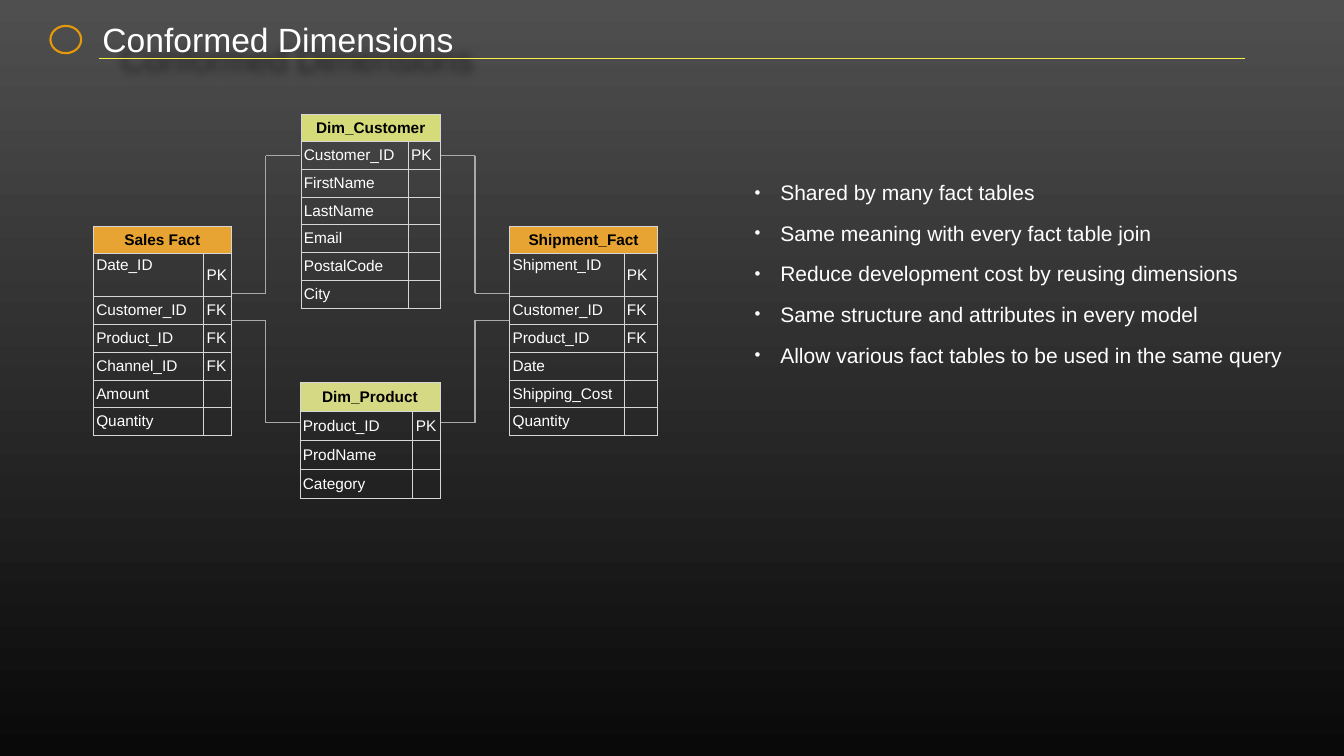
from dataclasses import dataclass

from lxml import etree
from pptx import Presentation
from pptx.dml.color import RGBColor
from pptx.enum.shapes import MSO_CONNECTOR, MSO_SHAPE
from pptx.enum.text import MSO_ANCHOR, MSO_AUTO_SIZE, PP_ALIGN
from pptx.oxml.ns import qn
from pptx.util import Pt

STRAIGHT = MSO_CONNECTOR.STRAIGHT
OVAL = MSO_SHAPE.OVAL
TOP, MIDDLE = MSO_ANCHOR.TOP, MSO_ANCHOR.MIDDLE
LEFT, CENTER = PP_ALIGN.LEFT, PP_ALIGN.CENTER
NO_AUTOSIZE = MSO_AUTO_SIZE.NONE

FONT = "Arial"
WHITE = RGBColor(0xFF, 0xFF, 0xFF)
BLACK = RGBColor(0x00, 0x00, 0x00)
BACKGROUND_TOP = RGBColor(0x4F, 0x4F, 0x4F)
BACKGROUND_BOTTOM = RGBColor(0x09, 0x09, 0x09)
YELLOW = RGBColor(0xF8, 0xEF, 0x4A)
EMBLEM = RGBColor(0xE6, 0x9A, 0x0A)
FACT = RGBColor(0xE8, 0xA4, 0x32)
CUSTOMER = RGBColor(0xD6, 0xDB, 0x79)
PRODUCT = RGBColor(0xD6, 0xD9, 0x84)
BORDER = RGBColor(0xD6, 0xD6, 0xD6)
LINK = RGBColor(0xA6, 0xAA, 0xA8)

ROW_HEIGHT = 39.6
KEY_ROW_HEIGHT = 61.6
CELL_MARGIN = Pt(4.32)
BOX_MARGIN = Pt(6)


@dataclass(frozen=True)
class Entity:
    name: str
    color: RGBColor
    left: float
    top: float
    widths: tuple[float, float]
    fields: tuple[tuple[str, str], ...]
    row_height: float = ROW_HEIGHT
    tall_key: bool = False


@dataclass(frozen=True)
class Link:
    start: tuple[float, float]
    bend: float
    end: tuple[float, float]


ENTITIES = (
    Entity("Sales Fact", FACT, 133.2, 322.6, (157.7, 39.6), (
        ("Date_ID", "PK"), ("Customer_ID", "FK"), ("Product_ID", "FK"),
        ("Channel_ID", "FK"), ("Amount", ""), ("Quantity", "")), tall_key=True),
    Entity("Dim_Customer", CUSTOMER, 429.8, 162.7, (153.4, 46.1), (
        ("Customer_ID", "PK"), ("FirstName", ""), ("LastName", ""),
        ("Email", ""), ("PostalCode", ""), ("City", ""))),
    Entity("Dim_Product", PRODUCT, 428.4, 546.5, (161.3, 38.9), (
        ("Product_ID", "PK"), ("ProdName", ""), ("Category", "")), row_height=41.4),
    Entity("Shipment_Fact", FACT, 727.9, 322.6, (163.4, 48.2), (
        ("Shipment_ID", "PK"), ("Customer_ID", "FK"), ("Product_ID", "FK"),
        ("Date", ""), ("Shipping_Cost", ""), ("Quantity", "")), tall_key=True),
)

LINKS = (
    Link((331, 419), 379.5, (428, 222.5)),
    Link((331, 458), 379.5, (428, 604)),
    Link((630, 222.5), 678.5, (726.5, 419)),
    Link((630, 604), 678.5, (726.5, 457.5)),
)

BENEFITS = (
    "Shared by many fact tables",
    "Same meaning with every fact table join",
    "Reduce development cost by reusing dimensions",
    "Same structure and attributes in every model",
    "Allow various fact tables to be used in the same query",
)


def add_run(paragraph, text: str, size: float, color: RGBColor, bold: bool = False) -> None:
    run = paragraph.add_run()
    run.text = text
    run.font.name = FONT
    run.font.size = Pt(size)
    run.font.bold = bold
    run.font.color.rgb = color


def set_margins(frame, margin: int) -> None:
    frame.margin_left = frame.margin_right = margin
    frame.margin_top = frame.margin_bottom = margin


def add_child(parent, tag: str, **attributes: str):
    return etree.SubElement(parent, qn(tag), attributes)


def draw_line(slide, start: tuple[float, float], end: tuple[float, float],
              color: RGBColor, width: float) -> None:
    connector = slide.shapes.add_connector(
        STRAIGHT, Pt(start[0]), Pt(start[1]), Pt(end[0]), Pt(end[1]))
    connector.line.color.rgb = color
    connector.line.width = Pt(width)
    add_child(connector._element.spPr, "a:effectLst")


def draw_link(slide, link: Link) -> None:
    points = (link.start, (link.bend, link.start[1]), (link.bend, link.end[1]), link.end)
    for start, end in zip(points, points[1:]):
        draw_line(slide, start, end, LINK, 2)


def style_cell(cell, fill: RGBColor | None) -> None:
    properties = cell._tc.get_or_add_tcPr()
    for side in ("a:lnL", "a:lnR", "a:lnT", "a:lnB"):
        border = add_child(properties, side, w=str(Pt(1)))
        solid = add_child(border, "a:solidFill")
        add_child(solid, "a:srgbClr", val=str(BORDER))
    if fill is None:
        cell.fill.background()
    else:
        cell.fill.solid()
        cell.fill.fore_color.rgb = fill
    set_margins(cell, CELL_MARGIN)
    cell.vertical_anchor = MIDDLE


def draw_entity(slide, entity: Entity) -> None:
    heights = [entity.row_height] * (len(entity.fields) + 1)
    if entity.tall_key:
        heights[1] = KEY_ROW_HEIGHT
    table = slide.shapes.add_table(
        len(heights), 2, Pt(entity.left), Pt(entity.top),
        Pt(sum(entity.widths)), Pt(sum(heights))).table
    table.first_row = table.horz_banding = False
    for column, width in zip(table.columns, entity.widths):
        column.width = Pt(width)
    for row, height in zip(table.rows, heights):
        row.height = Pt(height)

    header = table.cell(0, 0)
    header.merge(table.cell(0, 1))
    for cell in table.rows[0].cells:
        style_cell(cell, entity.color)
    paragraph = header.text_frame.paragraphs[0]
    paragraph.alignment = CENTER
    add_run(paragraph, entity.name, 22, BLACK, bold=True)

    for row_index, field in enumerate(entity.fields, start=1):
        for column_index, text in enumerate(field):
            cell = table.cell(row_index, column_index)
            style_cell(cell, None)
            if text:
                add_run(cell.text_frame.paragraphs[0], text, 22, WHITE)
    if entity.tall_key:
        table.cell(1, 0).vertical_anchor = TOP


def draw_title(slide) -> None:
    title = slide.shapes.title
    title.left, title.top, title.width, title.height = Pt(140.4), Pt(28), Pt(761), Pt(55.4)
    frame = title.text_frame
    frame.auto_size = NO_AUTOSIZE
    frame.word_wrap = True
    frame.vertical_anchor = MIDDLE
    set_margins(frame, BOX_MARGIN)
    paragraph = frame.paragraphs[0]
    paragraph.alignment = LEFT
    add_run(paragraph, "Conformed Dimensions", 48, WHITE)
    effects = add_child(title._element.spPr, "a:effectLst")
    shadow = add_child(effects, "a:outerShdw", blurRad=str(Pt(12)), dist=str(Pt(38)),
                       dir="2700000", algn="tl", rotWithShape="0")
    color = add_child(shadow, "a:srgbClr", val=str(BLACK))
    add_child(color, "a:alpha", val="50000")


def draw_benefits(slide) -> None:
    box = slide.shapes.add_textbox(Pt(1072), Pt(250.6), Pt(793.4), Pt(329.8))
    frame = box.text_frame
    frame.word_wrap = True
    set_margins(frame, BOX_MARGIN)
    for index, text in enumerate(BENEFITS):
        paragraph = frame.add_paragraph() if index else frame.paragraphs[0]
        properties = paragraph._p.get_or_add_pPr()
        properties.set("marL", str(Pt(36.7)))
        properties.set("indent", str(-Pt(36.7)))
        bullet_color = add_child(properties, "a:buClr")
        add_child(bullet_color, "a:srgbClr", val=str(WHITE))
        add_child(properties, "a:buSzPct", val="80000")
        add_child(properties, "a:buFont", typeface=FONT)
        add_child(properties, "a:buChar", char="•")
        if index:
            paragraph.space_before = Pt(22)
        add_run(paragraph, text, 30, WHITE)


def main() -> None:
    presentation = Presentation()
    presentation.slide_width, presentation.slide_height = Pt(1920), Pt(1080)
    slide = presentation.slides.add_slide(presentation.slide_layouts[5])
    background = slide.background.fill
    background.gradient()
    background.gradient_angle = 270
    for stop, color in zip(background.gradient_stops, (BACKGROUND_TOP, BACKGROUND_BOTTOM)):
        stop.color.rgb = color

    draw_title(slide)
    draw_line(slide, (142, 83), (1778, 83), YELLOW, 1)
    emblem = slide.shapes.add_shape(OVAL, Pt(72), Pt(37), Pt(44), Pt(39))
    emblem.shadow.inherit = False
    emblem.fill.background()
    emblem.line.color.rgb = EMBLEM
    emblem.line.width = Pt(3)
    for entity in ENTITIES:
        draw_entity(slide, entity)
    for link in LINKS:
        draw_link(slide, link)
    draw_benefits(slide)
    presentation.save("out.pptx")


if __name__ == "__main__":
    main()
